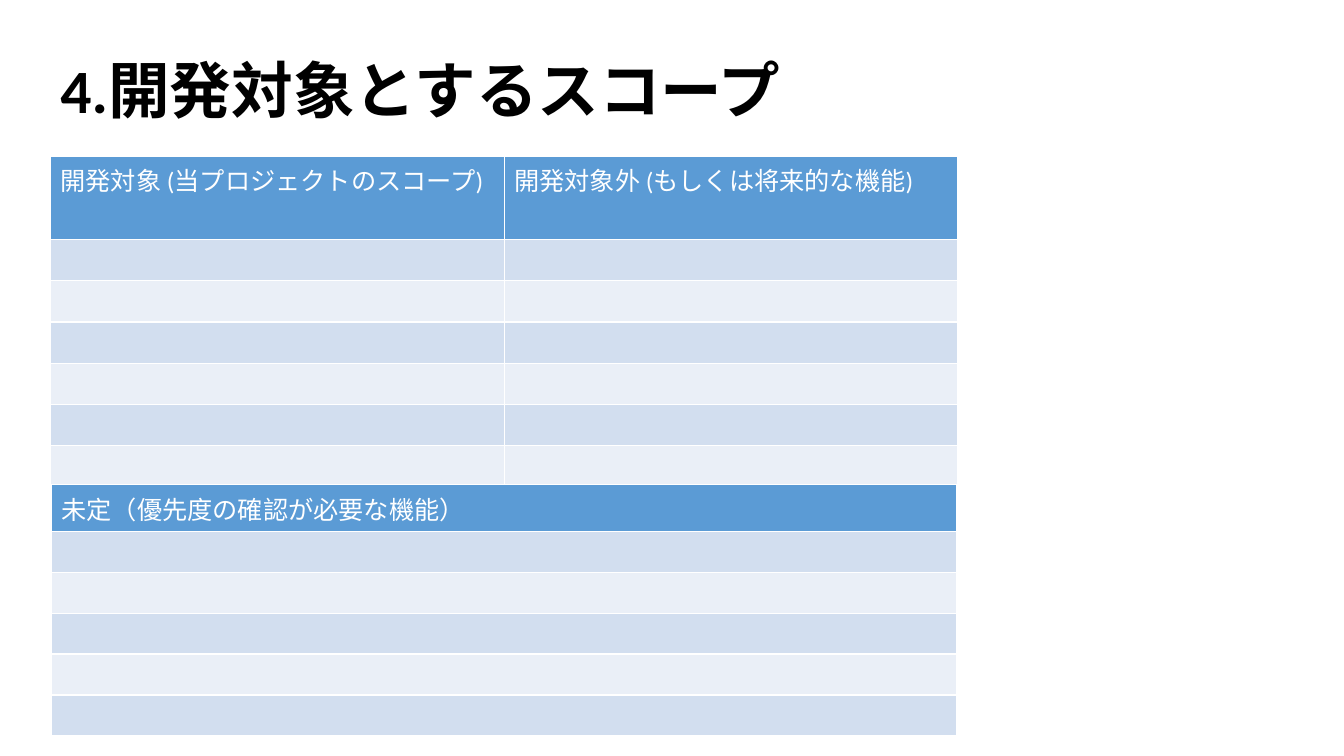
from dataclasses import dataclass

from pptx import Presentation
from pptx import util as u
from pptx.dml.color import RGBColor
from pptx.enum import text

COLORS = {
    "title": "000000",
    "header_text": "FFFFFF",
    "header": "5B9BD5",
    "band_dark": "D2DEEF",
    "band_light": "EAEFF7",
}
FONT = "Calibri"


@dataclass
class ScopeTable:
    headers: list[str]
    left: float
    top: float
    width: float
    row_height: float
    body_rows: int


TABLES = [
    ScopeTable(["開発対象 (当プロジェクトのスコープ)", "開発対象外 (もしくは将来的な機能)"],
               0.5, 1.55, 9, 0.41, 6),
    ScopeTable(["未定（優先度の確認が必要な機能）"], 0.51, 4.81, 8.98, 0.38, 5),
]


def add_run(p, words: str, size: int, color: str, bold: bool) -> None:
    r = p.add_run()
    r.text = words
    for name, value in {"name": FONT, "size": u.Pt(size), "bold": bold}.items():
        setattr(r.font, name, value)
    r.font.color.rgb = RGBColor.from_string(COLORS[color])


def set_title(s, words: str) -> None:
    sp = s.shapes.title
    box = {"left": 0.5, "top": 0.3, "width": 9, "height": 1.25}
    for name, value in box.items():
        setattr(sp, name, u.Inches(value))
    tf = sp.text_frame
    frame = {"word_wrap": True, "auto_size": text.MSO_AUTO_SIZE.NONE,
             "vertical_anchor": text.MSO_ANCHOR.MIDDLE}
    for name, value in frame.items():
        setattr(tf, name, value)
    p = tf.paragraphs[0]
    p.alignment = text.PP_ALIGN.LEFT
    p.line_spacing = 0.9
    add_run(p, words, 44, "title", True)


def add_scope_table(s, spec: ScopeTable) -> None:
    rows = spec.body_rows + 1
    # The default table style supplies the white cell borders
    table = s.shapes.add_table(
        rows, len(spec.headers), u.Inches(spec.left), u.Inches(spec.top),
        u.Inches(spec.width), u.Inches(spec.row_height * rows)).table

    # Header row above alternating bands
    for i, row in enumerate(table.rows):
        fill = "header" if i == 0 else "band_dark" if i % 2 else "band_light"
        for cell in row.cells:
            cell.fill.solid()
            cell.fill.fore_color.rgb = RGBColor.from_string(COLORS[fill])
    for cell, words in zip(table.rows[0].cells, spec.headers):
        add_run(cell.text_frame.paragraphs[0], words, 18, "header_text", False)


def main() -> None:
    prs = Presentation()
    prs.slide_width, prs.slide_height = u.Inches(13.33), u.Inches(7.5)
    s = prs.slides.add_slide(prs.slide_layouts[5])
    set_title(s, "4.開発対象とするスコープ")
    for spec in TABLES:
        add_scope_table(s, spec)
    prs.save("out.pptx")


if __name__ == "__main__":
    main()
